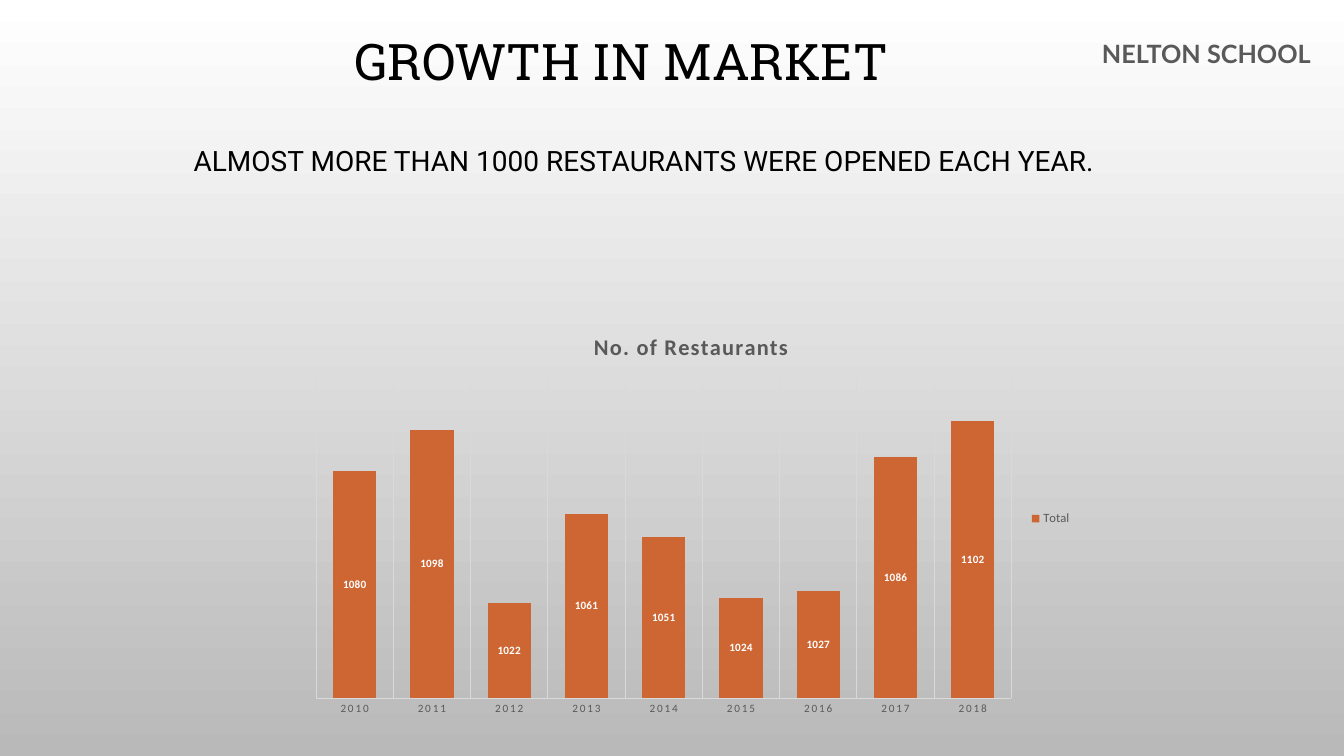
from pptx import Presentation
from pptx.chart.data import CategoryChartData as ChartData
from pptx.dml.color import RGBColor
from pptx.enum.chart import XL_CHART_TYPE as ChartType
from pptx.enum.chart import XL_LABEL_POSITION as LabelPosition
from pptx.enum.chart import XL_LEGEND_POSITION as LegendPosition
from pptx.enum.chart import XL_TICK_MARK as TickMark
from pptx.enum.text import MSO_ANCHOR as Anchor
from pptx.enum.text import PP_ALIGN as Align
from pptx.oxml import parse_xml
from pptx.oxml.ns import nsdecls, qn
from pptx.util import Inches, Pt

COLORS = {
    "top": "FFFFFF", "bottom": "B9B9B9", "ink": "000000", "gray": "595959",
    "line": "D9D9D9", "bar": "CE6633", "label": "FFFFFF",
}
OPENINGS = {
    "2010": 1080, "2011": 1098, "2012": 1022, "2013": 1061, "2014": 1051,
    "2015": 1024, "2016": 1027, "2017": 1086, "2018": 1102,
}


class SlideBuilder:
    """Hold the style and the current slide."""

    def __init__(self, deck):
        """Add a title and content slide to the deck."""
        self.page = deck.slides.add_slide(deck.slide_layouts[1])

    def color(self, name):
        """Return a named colour."""
        return RGBColor.from_string(COLORS[name])

    def style(self, font, face, size, color, bold=False):
        """Format a font."""
        font.name, font.size, font.bold = face, Pt(size), bold
        font.color.rgb = self.color(color)

    def place(self, box, area):
        """Move a box to an area given in inches."""
        box.left, box.top, box.width, box.height = map(Inches, area)

    def background(self):
        """Fill the background from top to bottom."""
        fill = self.page.background.fill
        fill.gradient()
        fill.gradient_angle = 270
        for stop, name, position in zip(fill.gradient_stops, ("top", "bottom"), (0, 1)):
            stop.color.rgb = self.color(name)
            stop.position = position

    def set_text(self, box, text, face, size, color="ink", bold=False):
        """Put one formatted paragraph into a box and return it."""
        frame = box.text_frame
        frame.text = text
        frame.word_wrap = True
        para = frame.paragraphs[0]
        self.style(para.runs[0].font, face, size, color, bold)
        return para

    def title(self, text, area):
        """Fill the title placeholder."""
        box = self.page.shapes.title
        self.place(box, area)
        para = self.set_text(box, text, "Roboto Slab", 36)
        box.text_frame.vertical_anchor = Anchor.MIDDLE
        para.alignment, para.line_spacing = Align.CENTER, 0.9

    def body(self, text, area):
        """Fill the body placeholder without a bullet."""
        box = self.page.placeholders[1]
        self.place(box, area)
        para = self.set_text(box, text, "Roboto", 20)
        box.text_frame.vertical_anchor = Anchor.TOP
        para.line_spacing, para.space_before = 1.2, Pt(10)
        properties = para._p.get_or_add_pPr()
        properties.set("marL", "0")
        properties.set("indent", "0")
        properties.append(parse_xml(f"<a:buNone {nsdecls('a')}/>"))

    def text(self, text, area):
        """Add a bold gray text box."""
        box = self.page.shapes.add_textbox(*map(Inches, area))
        self.set_text(box, text, "Lato", 18, "gray", True)

    def chart(self, heading, name, values, area):
        """Add a column chart with value labels."""
        data = ChartData()
        data.categories = list(values)
        data.add_series(name, list(values.values()))
        chart = self.page.shapes.add_chart(
            ChartType.COLUMN_STACKED, *map(Inches, area), data).chart
        self.style(chart.font, "Calibri", 10, "ink")

        chart.has_title = True
        frame = chart.chart_title.text_frame
        frame.text = heading
        span = frame.paragraphs[0].runs[0]
        self.style(span.font, "Calibri", 16, "gray", True)
        span.font._element.set("spc", "100")

        chart.has_legend = True
        chart.legend.position = LegendPosition.RIGHT
        chart.legend.include_in_layout = False
        self.style(chart.legend.font, "Calibri", 9, "gray")

        plot = chart.plots[0]
        plot.gap_width, plot.overlap, plot.vary_by_categories = 79, 100, False
        fill = plot.series[0].format.fill
        fill.solid()
        fill.fore_color.rgb = self.color("bar")
        plot.has_data_labels = True
        labels = plot.data_labels
        labels.show_value, labels.position = True, LabelPosition.CENTER
        self.style(labels.font, "Calibri", 8, "label", True)

        self.axes(chart)
        self.plot_area(chart, {"x": 0.02, "y": 0.16, "w": 0.89, "h": 0.78})

    def axes(self, chart):
        """Format the category axis and hide the value axis."""
        years, counts = chart.category_axis, chart.value_axis
        years.has_major_gridlines = True
        for line in (years.format.line, years.major_gridlines.format.line):
            line.color.rgb = self.color("line")
            line.width = Pt(0.75)
        years.major_tick_mark = years.minor_tick_mark = TickMark.NONE
        self.style(years.tick_labels.font, "Calibri", 8, "gray")
        years.tick_labels.font._element.set("spc", "120")
        counts.minimum_scale, counts.maximum_scale = 980, 1120
        counts.has_major_gridlines = counts.visible = False

    def plot_area(self, chart, fractions):
        """Fix the inner plot area as fractions of the chart."""
        area = chart._chartSpace.chart.plotArea
        for layout in area.findall(qn("c:layout")):
            area.remove(layout)
        modes = "".join(f'<c:{side}Mode val="edge"/>' for side in "xy")
        sizes = "".join(f'<c:{side} val="{part}"/>' for side, part in fractions.items())
        area.insert(0, parse_xml(
            f'<c:layout {nsdecls("c")}><c:manualLayout><c:layoutTarget val="inner"/>'
            f"{modes}{sizes}</c:manualLayout></c:layout>"))


def main():
    """Build and save the deck."""
    deck = Presentation()
    deck.slide_width, deck.slide_height = Inches(13.33), Inches(7.5)
    slide = SlideBuilder(deck)
    slide.background()
    slide.title("GROWTH IN MARKET", (0, 0.18, 12.33, 0.91))
    slide.body("ALMOST MORE THAN 1000 RESTAURANTS WERE OPENED EACH YEAR.",
               (1.82, 1.31, 10.38, 5.02))
    slide.chart("No. of Restaurants", "Total", OPENINGS, (2.98, 3.12, 7.75, 4.05))
    slide.text("NELTON SCHOOL", (10.83, 0.33, 2.78, 0.4))
    deck.save("out.pptx")


if __name__ == "__main__":
    main()
